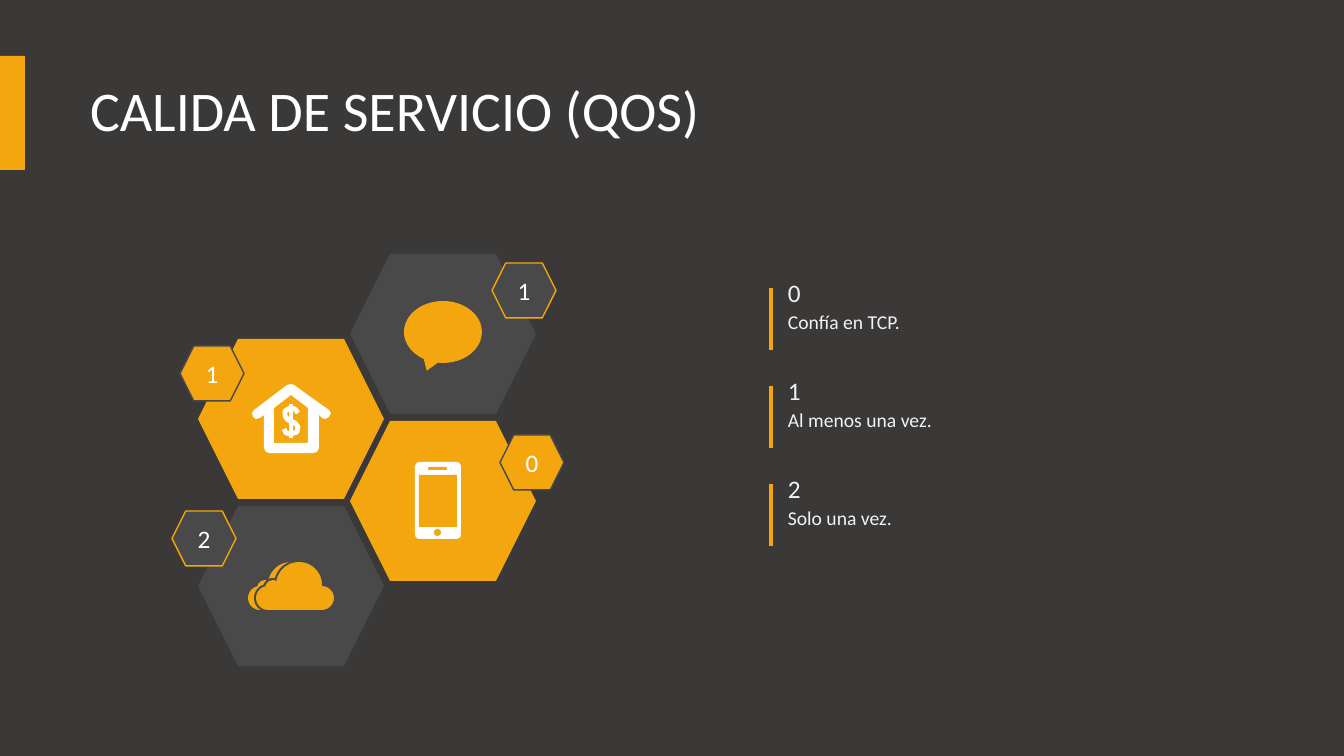
from pptx import Presentation
from pptx.dml.color import RGBColor
from pptx.enum.shapes import MSO_CONNECTOR, MSO_SHAPE as Preset
from pptx.enum.text import MSO_ANCHOR as Anchor, MSO_AUTO_SIZE as AutoSize, PP_ALIGN as Align
from pptx.oxml.ns import qn
from pptx.util import Emu, Pt
from lxml.etree import SubElement

GOLD = RGBColor(0xF3, 0xA6, 0x0D)
GRAY = RGBColor(0x49, 0x49, 0x49)
DARK = RGBColor(0x3B, 0x38, 0x38)
WHITE = RGBColor(0xFF, 0xFF, 0xFF)
PALE = RGBColor(0xF2, 0xF2, 0xF2)
FONT = "Calibri"
PIXEL = 914400 / 100.8

TITLE = "CALIDA DE SERVICIO (QOS)"
LEVELS = [("0", "Confía en TCP."), ("1", "Al menos una vez."), ("2", "Solo una vez.")]
LEVELS_TOP, LEVEL_PITCH = 272, 98
COLUMNS = [(198, 339, (GOLD, GRAY)), (350, 254, (GRAY, GOLD))]
HEXAGON_SIZE, HEXAGON_PITCH = (186, 160), 167
BADGE_SIZE = (64, 55)
BADGES = [("1", 492, 263, GRAY, GOLD), ("2", 172, 511, GRAY, GOLD),
          ("0", 500, 435, GOLD, GRAY), ("1", 180, 346, GOLD, GRAY)]
HOUSE = [
    [(260, 418), (264, 415), (264, 448), (266, 452), (269, 453), (313, 453), (317, 452),
     (319, 448), (319, 415), (322, 418), (325, 419), (329, 417), (331, 413), (329, 410),
     (294, 385), (291, 384), (287, 385), (254, 410), (252, 413), (253, 417), (256, 419)],
    [(291, 395), (308, 408), (308, 443), (274, 443), (274, 408)],
]
DOLLAR_CURVE = [(298, 413), (295, 409), (290, 408), (285, 411), (285, 416), (288, 420),
                (295, 423), (298, 427), (297, 432), (291, 434), (286, 433), (284, 429)]
PHONE = [(Preset.ROUNDED_RECTANGLE, (415, 462, 46, 77), WHITE, 0.1),
         (Preset.RECTANGLE, (419, 475, 38, 52), GOLD, None),
         (Preset.ROUNDED_RECTANGLE, (428, 467, 19, 3), GOLD, 0.5),
         (Preset.OVAL, (434, 529, 7, 7), GOLD, None)]
CLOUD = [(Preset.OVAL, (256, 586, 24, 24)), (Preset.OVAL, (265, 580, 16, 16)),
         (Preset.OVAL, (276, 562, 46, 46)), (Preset.OVAL, (309, 586, 25, 24)),
         (Preset.RECTANGLE, (268, 592, 53, 18))]
CLOUD_LAYERS = [(-8, 0, GOLD), (0, 2, GRAY), (0, 0, GOLD)]


def px(*lengths):
    return [Emu(round(length * PIXEL)) for length in lengths]


def write(shape, text, size=18, color=WHITE, align=Align.LEFT, anchor=Anchor.TOP,
          fit=AutoSize.NONE, spacing=1.0):
    frame = shape.text_frame
    frame.word_wrap = True
    frame.auto_size = fit
    frame.vertical_anchor = anchor
    paragraph = frame.paragraphs[0]
    paragraph.alignment = align
    paragraph.line_spacing = spacing
    run = paragraph.add_run()
    run.text = text
    run.font.size = Pt(size)
    run.font.name = FONT
    run.font.color.rgb = color


def paint(shape, fill=None, line=None, width=1):
    shape.shadow.inherit = False
    if fill is None:
        shape.fill.background()
    else:
        shape.fill.solid()
        shape.fill.fore_color.rgb = fill
    if line is None:
        shape.line.fill.background()
    else:
        shape.line.color.rgb = line
        shape.line.width = Pt(width)
    return shape


def add_preset(preset, box, fill, line=None):
    return paint(shapes.add_shape(preset, *px(*box)), fill, line)


def add_outline(contours, closed=True, **style):
    builder = shapes.build_freeform(*contours[0][0], scale=PIXEL)
    for index, points in enumerate(contours):
        if index:
            builder.move_to(*points[0])
        builder.add_line_segments(points[1:], close=closed)
    return paint(builder.convert_to_shape(), **style)


def add_bar(x, top, bottom, color, width):
    bar = shapes.add_connector(MSO_CONNECTOR.STRAIGHT, *px(x, top, x, bottom))
    bar.line.color.rgb = color
    bar.line.width = Pt(width)
    SubElement(bar._element.spPr, qn("a:effectLst"))


presentation = Presentation()
presentation.slide_width, presentation.slide_height = px(1344, 756)
slide = presentation.slides.add_slide(presentation.slide_layouts[5])
slide.background.fill.solid()
slide.background.fill.fore_color.rgb = DARK
shapes = slide.shapes

add_preset(Preset.RECTANGLE, (0, 56, 25, 114), GOLD)
title = shapes.title
title.left, title.top, title.width, title.height = px(80, 40, 1172, 146)
write(title, TITLE, size=40, anchor=Anchor.MIDDLE, spacing=0.9)

for index, (level, description) in enumerate(LEVELS):
    top = LEVELS_TOP + index * LEVEL_PITCH
    for text, offset, width, height, size in [(level, 0, 240, 40, 18),
                                              (description, 33, 440, 34, 14)]:
        box = shapes.add_textbox(*px(778, top + offset, width, height))
        write(box, text, size=size, color=PALE, fit=AutoSize.SHAPE_TO_FIT_TEXT)
    add_bar(771, top + 16, top + 78, GOLD, 3)

for left, top, colors in COLUMNS:
    for row, color in enumerate(colors):
        add_preset(Preset.HEXAGON, (left, top + row * HEXAGON_PITCH, *HEXAGON_SIZE), color)

for shift, grow, color in CLOUD_LAYERS:
    for preset, (left, top, width, height) in CLOUD:
        add_preset(preset, (left + shift - grow, top - grow,
                            width + 2 * grow, height + 2 * grow), color)

add_outline(HOUSE, fill=WHITE)
add_outline([DOLLAR_CURVE], closed=False, line=WHITE, width=3.5)
add_bar(291, 404, 438, WHITE, 2.5)
add_preset(Preset.OVAL_CALLOUT, (404, 301, 78, 62), GOLD)

for preset, box, color, rounding in PHONE:
    part = add_preset(preset, box, color)
    if rounding is not None:
        part.adjustments[0] = rounding

for number, left, top, fill, line in BADGES:
    badge = add_preset(Preset.HEXAGON, (left, top, *BADGE_SIZE), fill, line)
    write(badge, number, align=Align.CENTER, anchor=Anchor.MIDDLE)

presentation.save("out.pptx")
